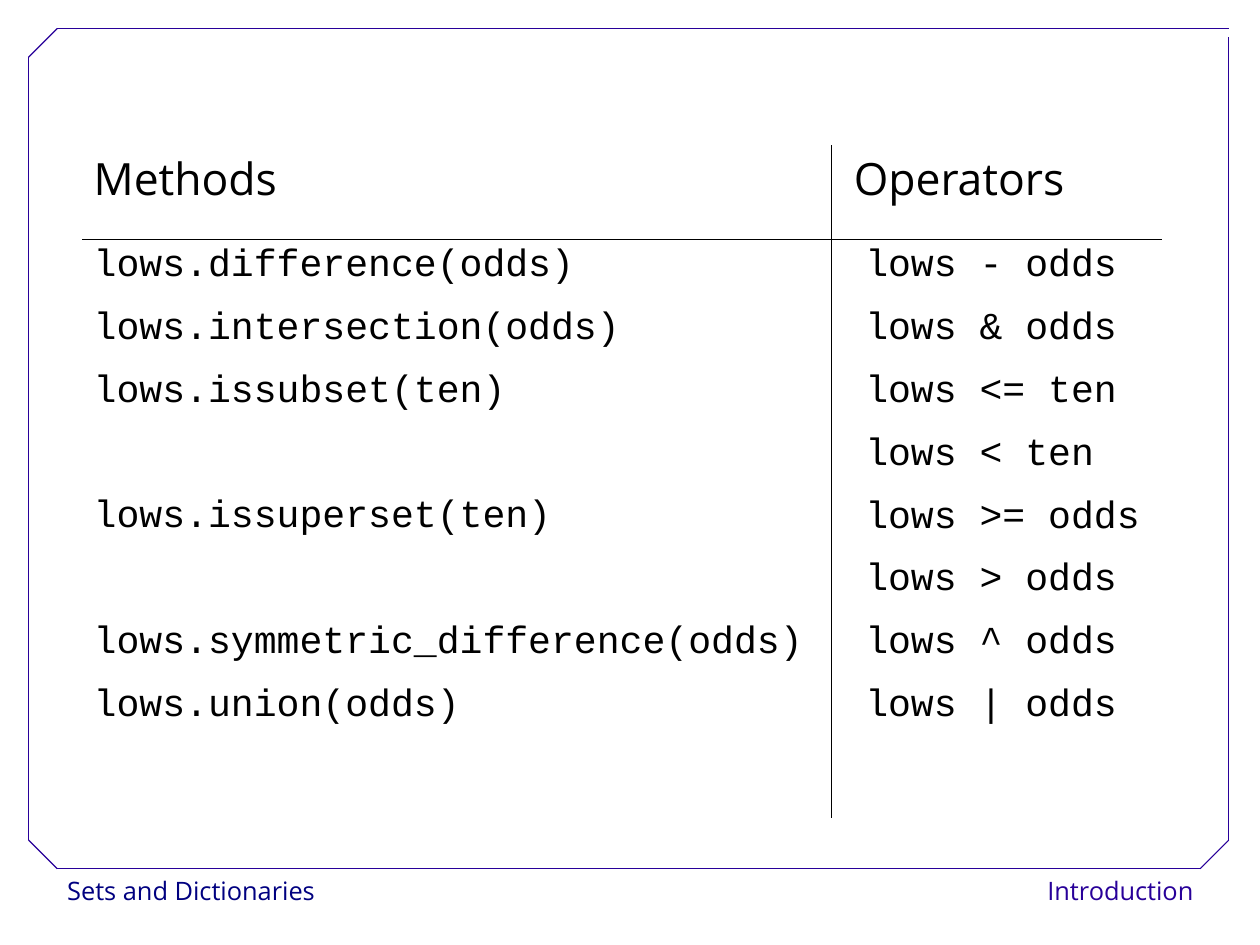
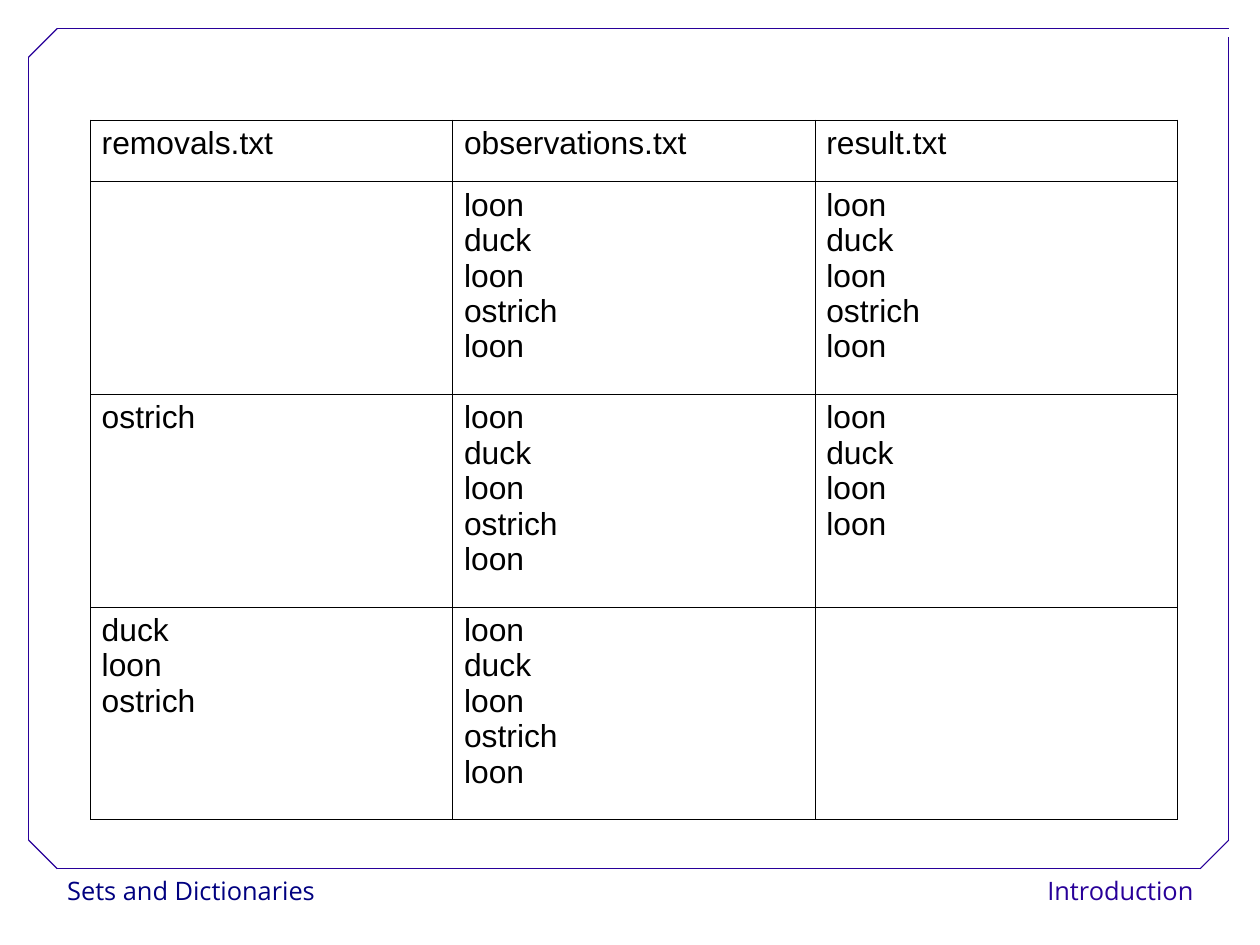
import lxml.etree
import pptx
import pptx.dml.color
import pptx.enum.shapes
import pptx.enum.text
import pptx.oxml.ns
import pptx.util
from pptx.util import Inches

BLACK = pptx.dml.color.RGBColor(0x00, 0x00, 0x00)
WHITE = pptx.dml.color.RGBColor(0xFF, 0xFF, 0xFF)
NAVY = pptx.dml.color.RGBColor(0x00, 0x00, 0x80)
INDIGO = pptx.dml.color.RGBColor(0x28, 0x00, 0x99)

HEADING_FONT = "Open Sans"
CODE_FONT = "Courier New"
BODY_FONT = "Arial"
NO_TABLE_STYLE = "{2D5ABB26-0587-4C30-8999-92F81FD0307C}"
ROW_PITCH = 39.6  # points from one line of code to the next
CODE_GAP = 14.3

METHODS = [
    "lows.difference(odds)", "lows.intersection(odds)", "lows.issubset(ten)", None,
    "lows.issuperset(ten)", None, "lows.symmetric_difference(odds)", "lows.union(odds)",
]
OPERATORS = [
    "lows - odds", "lows & odds", "lows <= ten", "lows < ten",
    "lows >= odds", "lows > odds", "lows ^ odds", "lows | odds",
]
SIGHTINGS = ["loon", "duck", "loon", "ostrich", "loon"]
FILE_ROWS = [
    [["removals.txt"], ["observations.txt"], ["result.txt"]],
    [[], SIGHTINGS, SIGHTINGS],
    [["ostrich"], SIGHTINGS, ["loon", "duck", "loon", "loon"]],
    [["duck", "loon", "ostrich"], SIGHTINGS, []],
]


def add_span(para, text, font, size, color=BLACK):
    span = para.add_run()
    span.text = text
    span.font.name = font
    span.font.size = pptx.util.Pt(size)
    span.font.color.rgb = color


def write_lines(frame, lines, font, size, spacing=1.0, gap=0):
    """Write one paragraph per line; None leaves one row open above the next line."""
    para = None
    skipped = 0
    for line in lines:
        if line is None:
            skipped += 1
            continue
        para = frame.add_paragraph() if para is not None else frame.paragraphs[0]
        para.line_spacing = spacing
        para.space_before = pptx.util.Pt(skipped * ROW_PITCH)
        para.space_after = pptx.util.Pt(gap)
        add_span(para, line, font, size)
        skipped = 0


def add_footer(slide, left, top, width, height, text, color, align):
    box = slide.shapes.add_textbox(Inches(left), Inches(top), Inches(width), Inches(height))
    box.fill.solid()
    box.fill.fore_color.rgb = WHITE
    box.text_frame.word_wrap = False
    para = box.text_frame.paragraphs[0]
    para.alignment = align
    para.line_spacing = 1.02
    add_span(para, text, HEADING_FONT, 16, color)


def add_frame(slide, left, top, right, bottom, cut=0.25):
    """Draw the border with three cut corners and an open one at the top right."""
    edges = [
        (left + cut, bottom, right - cut, bottom),
        (left, bottom - cut, left, top + cut),
        (left + cut, top, right, top),
        (right, bottom - cut, right, top + 0.07),
        (left, top + cut, left + cut, top),
        (right - cut, bottom, right, bottom - cut),
        (left, bottom - cut, left + cut, bottom),
    ]
    for edge in edges:
        line = slide.shapes.add_connector(
            pptx.enum.shapes.MSO_CONNECTOR.STRAIGHT, *[Inches(value) for value in edge])
        line.line.color.rgb = INDIGO
        line.line.width = pptx.util.Pt(0.75)
        lxml.etree.SubElement(line._element.spPr, pptx.oxml.ns.qn("a:effectLst"))


def add_page(deck):
    """Add a blank slide with the shared frame and footers."""
    slide = deck.slides.add_slide(deck.slide_layouts[6])
    align = pptx.enum.text.PP_ALIGN
    add_footer(slide, 0.49, 7.6, 2.4, 0.4, "Sets and Dictionaries", NAVY, align.LEFT)
    add_footer(slide, 9.04, 7.6, 1.5, 0.4, "Introduction", INDIGO, align.RIGHT)
    add_frame(slide, 0.25, 0.25, 10.75, 7.6)
    return slide


def style_cell(cell, sides):
    """Rule the given sides (letters from LRTB, in that order) and clear the fill."""
    properties = cell._tc.get_or_add_tcPr()
    for side in sides:
        rule = lxml.etree.SubElement(
            properties, pptx.oxml.ns.qn("a:ln" + side), w=str(pptx.util.Pt(0.45)))
        fill = lxml.etree.SubElement(rule, pptx.oxml.ns.qn("a:solidFill"))
        lxml.etree.SubElement(fill, pptx.oxml.ns.qn("a:srgbClr"), val=str(BLACK))
    cell.fill.background()


def add_plain_table(slide, left, top, widths, heights):
    table = slide.shapes.add_table(
        len(heights), len(widths), Inches(left), Inches(top),
        Inches(sum(widths)), Inches(sum(heights))).table
    table.first_row = False
    table.horz_banding = False
    table._tbl.tblPr.find(pptx.oxml.ns.qn("a:tableStyleId")).text = NO_TABLE_STYLE
    for column, width in zip(table.columns, widths):
        column.width = Inches(width)
    for row, height in zip(table.rows, heights):
        row.height = Inches(height)
    return table


def add_operator_table(slide, left, top):
    """Set methods beside operators, divided by a cross of inner rules."""
    table = add_plain_table(slide, left, top, [6.55, 2.9], [0.82, 5.07])
    cells = [
        (0, 0, ["Methods"], HEADING_FONT, 28, "RB", 0.1),
        (0, 1, ["Operators"], HEADING_FONT, 28, "LB", 0.2),
        (1, 0, METHODS, CODE_FONT, 24, "RT", 0.1),
        (1, 1, OPERATORS, CODE_FONT, 24, "LT", 0.3),
    ]
    for row, column, lines, font, size, sides, indent in cells:
        cell = table.cell(row, column)
        cell.margin_left = Inches(indent)
        write_lines(cell.text_frame, lines, font, size, 0.93, CODE_GAP)
        style_cell(cell, sides)


def add_file_table(slide, left, top):
    table = add_plain_table(slide, left, top, [3.17] * 3, [0.54] + [1.86] * 3)
    for row, contents in enumerate(FILE_ROWS):
        for column, lines in enumerate(contents):
            cell = table.cell(row, column)
            write_lines(cell.text_frame, lines, BODY_FONT, 20)
            style_cell(cell, "LRTB")


def main():
    deck = pptx.Presentation()
    deck.slide_width = pptx.util.Cm(28)
    deck.slide_height = pptx.util.Cm(21)
    add_operator_table(add_page(deck), 0.72, 1.27)
    add_file_table(add_page(deck), 0.79, 1.05)
    deck.save("out.pptx")


if __name__ == "__main__":
    main()
